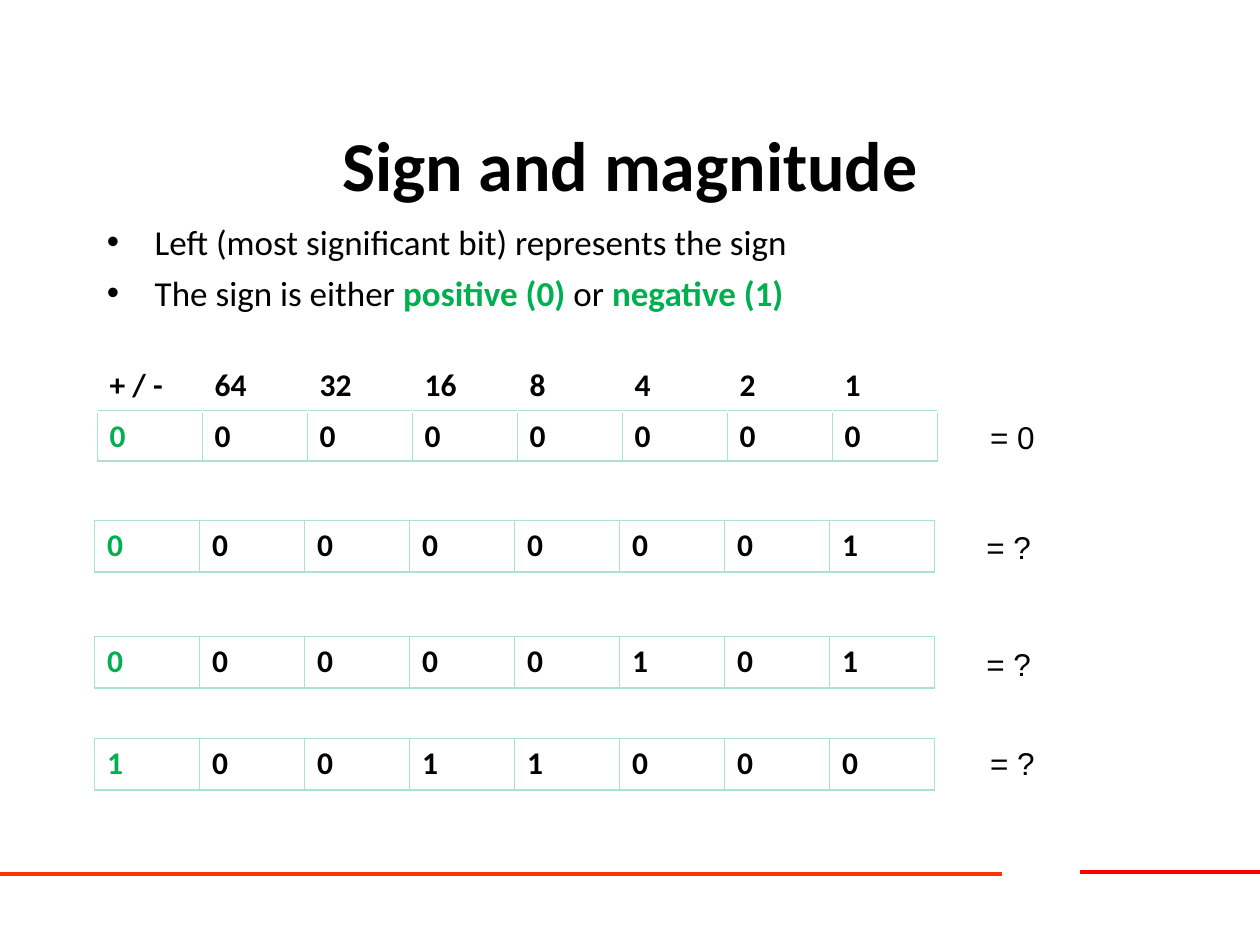
from dataclasses import dataclass
from typing import NamedTuple

from lxml.etree import SubElement as Sub
from pptx import Presentation as Deck
from pptx.dml.color import RGBColor as Rgb
from pptx.enum.shapes import MSO_CONNECTOR as Conn
from pptx.enum.text import MSO_ANCHOR as Anchor, MSO_AUTO_SIZE as Fit, PP_ALIGN as Align
from pptx.oxml.ns import qn
from pptx.util import Inches, Pt


@dataclass(frozen=True)
class Theme:
    black: str = "000000"
    green: str = "00B050"
    mint: str = "AAE2CA"
    white: str = "FFFFFF"
    red: str = "FF0000"
    orange: str = "FF3300"
    sans: str = "Calibri"
    plain: str = "Arial"
    title: float = 40
    body: float = 20
    cell: float = 18
    thin: float = 0.45
    thick: float = 0.96
    rule: float = 2.25


class Row(NamedTuple):
    left: float
    top: float
    height: float
    bits: str
    answer: str
    note_left: float
    note_top: float


class Rule(NamedTuple):
    start: float
    end: float
    top: float
    color: str


LOOK = Theme()
WIDTH = 6.67
ROWS = [
    Row(0.77, 3.26, 0.4, "00000000", "= 0", 7.76, 3.27),
    Row(0.75, 4.13, 0.41, "00000001", "= ?", 7.73, 4.14),
    Row(0.75, 5.05, 0.41, "00000101", "= ?", 7.73, 5.07),
    Row(0.75, 5.86, 0.41, "10011000", "= ?", 7.76, 5.86),
]
RULES = [Rule(8.57, 10, 6.92, LOOK.red), Rule(0, 7.95, 6.94, LOOK.orange)]
POINTS = [
    [("Left (most significant bit) represents the sign", False)],
    [("The sign is either ", False), ("positive (0)", True),
     (" or ", False), ("negative (1)", True)],
]


def write(para, text: str, *, size: float, face: str = LOOK.sans,
          color: str = LOOK.black, bold: bool = False) -> None:
    run = para.add_run()
    run.text = text
    font = run.font
    font.name, font.size, font.bold = face, Pt(size), bold
    font.color.rgb = Rgb.from_string(color)


def add_box(slide, left: float, top: float, width: float, height: float):
    box = slide.shapes.add_textbox(Inches(left), Inches(top), Inches(width), Inches(height))
    box.text_frame.word_wrap = True
    return box.text_frame


def add_rule(slide, rule: Rule) -> None:
    top = Inches(rule.top)
    line = slide.shapes.add_connector(
        Conn.STRAIGHT, Inches(rule.start), top, Inches(rule.end), top)
    line.line.color.rgb = Rgb.from_string(rule.color)
    line.line.width = Pt(LOOK.rule)
    Sub(line._element.spPr, qn("a:effectLst"))


def add_bullet(para) -> None:
    props = para._p.get_or_add_pPr()
    props.set("marL", str(Inches(0.38)))
    props.set("indent", str(-Inches(0.38)))
    Sub(Sub(props, qn("a:buClr")), qn("a:srgbClr"), val=LOOK.black)
    Sub(props, qn("a:buFont"), typeface=LOOK.plain)
    Sub(props, qn("a:buChar"), char="•")


def edge(cell, color: str) -> None:
    props = cell._tc.get_or_add_tcPr()
    for side in "LRTB":
        width = LOOK.thick if side == "B" else LOOK.thin
        line = Sub(props, qn(f"a:ln{side}"), w=str(Pt(width)))
        Sub(Sub(line, qn("a:solidFill")), qn("a:srgbClr"), val=color)


def add_grid(slide, left: float, top: float, height: float, items,
             color: str, lead: str) -> None:
    count = len(items)
    grid = slide.shapes.add_table(
        1, count, Inches(left), Inches(top), Inches(WIDTH), Inches(height)).table
    grid.first_row = grid.horz_banding = False
    for col, text in enumerate(items):
        grid.columns[col].width = Inches(WIDTH / count)
        cell = grid.cell(0, col)
        edge(cell, color)
        cell.fill.background()
        write(cell.text_frame.paragraphs[0], text, size=LOOK.cell, bold=True,
              color=LOOK.black if col else lead)


def add_row(slide, row: Row) -> None:
    add_grid(slide, row.left, row.top, row.height, row.bits, LOOK.mint, LOOK.green)
    note = add_box(slide, row.note_left, row.note_top, 1.5, 0.4)
    note.auto_size = Fit.SHAPE_TO_FIT_TEXT
    write(note.paragraphs[0], row.answer, size=LOOK.cell, face=LOOK.plain)


def main() -> None:
    deck = Deck()
    deck.slide_width, deck.slide_height = Inches(10), Inches(7.5)
    slide = deck.slides.add_slide(deck.slide_layouts[6])
    for rule in RULES:
        add_rule(slide, rule)

    head = add_box(slide, 0.75, 0.67, 8.5, 1.25)
    head.vertical_anchor = Anchor.MIDDLE
    head.paragraphs[0].alignment = Align.CENTER
    write(head.paragraphs[0], "Sign and magnitude", size=LOOK.title, bold=True)

    body = add_box(slide, 0.75, 1.7, 8.5, 4.5)
    for num, parts in enumerate(POINTS):
        para = body.add_paragraph() if num else body.paragraphs[0]
        add_bullet(para)
        if num:
            para.space_before = Pt(5)
        for text, strong in parts:
            write(para, text, size=LOOK.body, bold=strong,
                  color=LOOK.green if strong else LOOK.black)

    for row in ROWS:
        add_row(slide, row)
    powers = [str(2 ** n) for n in range(6, -1, -1)]
    add_grid(slide, 0.77, 2.86, 0.41, ["+ / -", *powers], LOOK.white, LOOK.black)
    deck.save("out.pptx")


if __name__ == "__main__":
    main()
